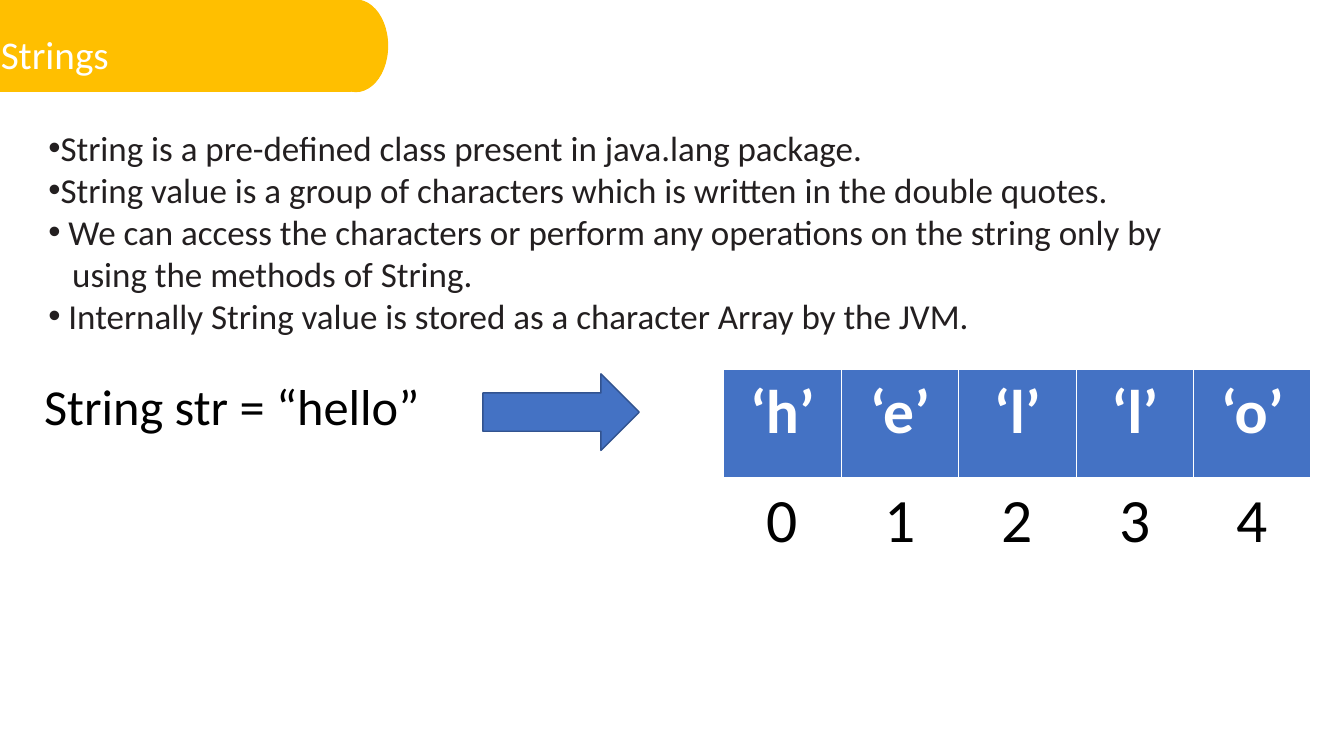
from dataclasses import dataclass

from lxml import etree
from pptx import Presentation
from pptx import util as u
from pptx.dml import color
from pptx.enum import shapes, text
from pptx.oxml import ns

Cm, Pt = u.Cm, u.Pt
Shape = shapes.MSO_SHAPE
Align = text.PP_ALIGN


@dataclass(frozen=True)
class Theme:
    font: str = "Calibri"
    gold: str = "FFBF00"
    blue: str = "4472C4"
    navy: str = "32538F"
    ink: str = "231F20"
    black: str = "000000"
    white: str = "FFFFFF"
    title: int = 28
    body: int = 25
    code: int = 36
    cell: int = 44


theme = Theme()
TITLE = "Strings"
POINTS = [
    ("String is a pre-defined class present in java.lang package.", True),
    ("String value is a group of characters which is written in the double quotes.", True),
    (" We can access the characters or perform any operations on the string only by", True),
    ("using the methods of String.", False),
    (" Internally String value is stored as a character Array by the JVM.", True),
]
CODE = "String str = “hello”"
WORD = "hello"


def rgb(code):
    return color.RGBColor.from_string(code)


def style(frame, size, ink, align=Align.LEFT, bold=False):
    for para in frame.paragraphs:
        para.alignment = align
        for run in para.runs:
            font = run.font
            font.name, font.size, font.bold = theme.font, Pt(size), bold
            font.color.rgb = rgb(ink)


def inset(item, side, edge):
    item.margin_left = item.margin_right = Cm(side)
    item.margin_top = item.margin_bottom = Cm(edge)


def add_box(slide, box, words, size, ink, pad=0, wrap=True, align=Align.LEFT):
    frame = slide.shapes.add_textbox(*map(Cm, box)).text_frame
    frame.word_wrap = wrap
    inset(frame, pad, pad)
    frame.text = words
    style(frame, size, ink, align)
    return frame


def add_form(slide, kind, box, fill, line, width):
    form = slide.shapes.add_shape(kind, *map(Cm, box))
    form.shadow.inherit = False
    form.fill.solid()
    form.fill.fore_color.rgb = rgb(fill)
    form.line.color.rgb = rgb(line)
    form.line.width = Pt(width)


def add_header(slide, box):
    left, top, width, height = box
    cap = 1.6
    bar = (left, top, width - cap / 2 - 0.13, height)
    end = (left + width - cap, top, cap, height)
    for kind, part in ((Shape.RECTANGLE, bar), (Shape.OVAL, end)):
        add_form(slide, kind, part, theme.gold, theme.gold, 0.75)
    add_box(slide, (left + 0.02, top + 0.76, width, 1.24), TITLE, theme.title, theme.white)


def add_points(slide, box):
    words = "\n".join(line for line, _ in POINTS)
    frame = add_box(slide, box, words, theme.body, theme.ink)
    for para, (_, dot) in zip(frame.paragraphs, POINTS):
        props = para._p.get_or_add_pPr()
        props.set("marL", str(Cm(0.22 if dot else 0.62)))
        props.set("indent", str(Cm(-0.2 if dot else 0)))
        if dot:
            etree.SubElement(props, ns.qn("a:buFont"), typeface="Arial")
            etree.SubElement(props, ns.qn("a:buChar"), char="•")


def add_edges(cell, top, bottom):
    props = cell._tc.get_or_add_tcPr()
    for spot, (side, width) in enumerate(zip("LRTB", (1, 1, top, bottom))):
        line = etree.Element(ns.qn("a:ln" + side), w=str(Pt(width)))
        fill = etree.SubElement(line, ns.qn("a:solidFill"))
        etree.SubElement(fill, ns.qn("a:srgbClr"), val=theme.white)
        props.insert(spot, line)


def add_array(slide, box):
    grid = slide.shapes.add_table(2, len(WORD), *map(Cm, box)).table
    for col, char in enumerate(WORD):
        head, foot = grid.cell(0, col), grid.cell(1, col)
        head.text, foot.text = f"‘{char}’", str(col)
        head.fill.solid()
        head.fill.fore_color.rgb = rgb(theme.blue)
        foot.fill.background()
        add_edges(head, 1, 3)
        add_edges(foot, 3, 1)
        style(head.text_frame, theme.cell, theme.white, Align.CENTER, True)
        style(foot.text_frame, theme.cell, theme.black, Align.CENTER)
        for cell in (head, foot):
            inset(cell, 0.13, 0.13)


def add_sample(slide, box):
    left, top, width, height = box
    add_box(slide, (left, top, 9.75, 1.8), CODE, theme.code, theme.black,
            0.13, False, Align.CENTER)
    add_form(slide, Shape.RIGHT_ARROW, (left + 11.2, top + 0.1, 3.94, 1.93),
             theme.blue, theme.navy, 1)
    span = 14.8
    add_array(slide, (left + width - span, top, span, height))


def main():
    deck = Presentation()
    deck.slide_width, deck.slide_height = Cm(33.87), Cm(19.05)
    slide = deck.slides.add_slide(deck.slide_layouts[6])
    add_header(slide, (0, 0, 9.77, 2.31))
    add_points(slide, (1.2, 3.18, 30.38, 5.33))
    add_sample(slide, (0.97, 9.32, 32.07, 5.49))
    deck.save("out.pptx")


if __name__ == "__main__":
    main()
